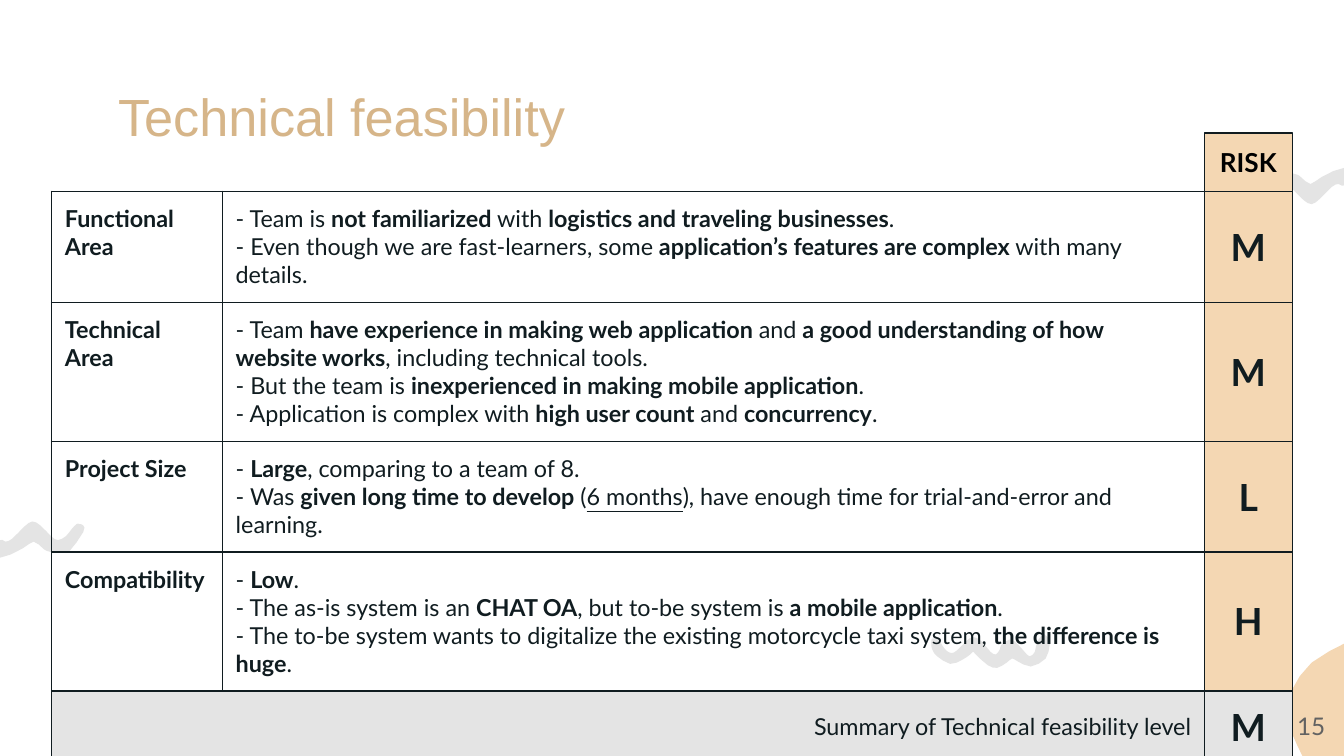
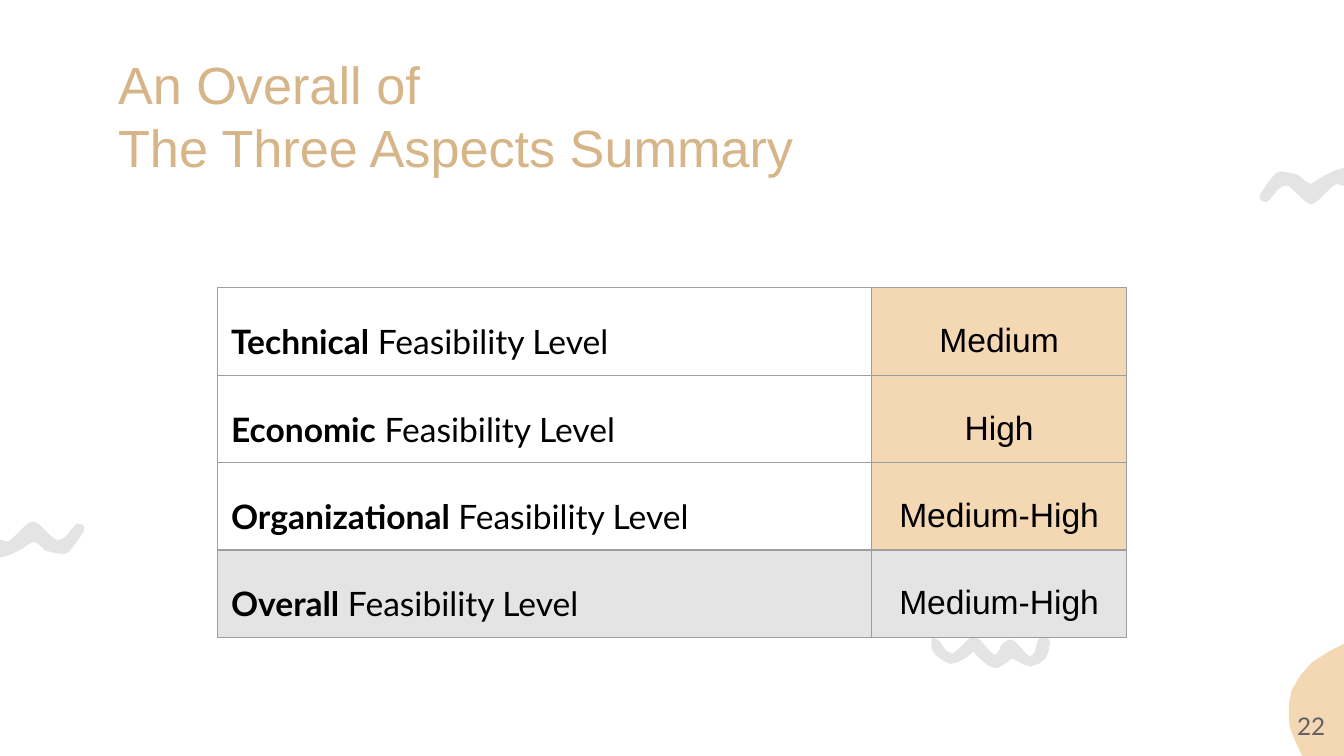
from lxml import etree
from pptx import Presentation
from pptx.dml.color import RGBColor
from pptx.enum.shapes import MSO_SHAPE
from pptx.enum.text import MSO_ANCHOR, MSO_AUTO_SIZE, PP_ALIGN
from pptx.oxml.ns import qn
from pptx.util import Pt

RECT = MSO_SHAPE.RECTANGLE
TOP, MIDDLE = MSO_ANCHOR.TOP, MSO_ANCHOR.MIDDLE
LEFT, CENTER, RIGHT = PP_ALIGN.LEFT, PP_ALIGN.CENTER, PP_ALIGN.RIGHT
FIT_SHAPE = MSO_AUTO_SIZE.SHAPE_TO_FIT_TEXT

WHITE = RGBColor(0xFF, 0xFF, 0xFF)
BLACK = RGBColor(0x00, 0x00, 0x00)
INK = RGBColor(0x10, 0x1C, 0x20)
TAN = RGBColor(0xD6, 0xB5, 0x89)
PEACH = RGBColor(0xF4, 0xD7, 0xB3)
PALE = RGBColor(0xE4, 0xE4, 0xE4)
RULE = RGBColor(0x9E, 0x9E, 0x9E)
PAGE_GRAY = RGBColor(0x62, 0x62, 0x62)

SANS, BODY = "Arial", "Lato"
WIDTH, HEIGHT = 720, 405
INSET = Pt(7.2)
LINE = Pt(0.75)

EDGE_WAVE = [
    (17.3, 279.4), (13, 282.2), (6.5, 288.7), (2.9, 290.2), (0, 289.4),
    (0, 298.8), (12.2, 293.8), (18, 290.2), (23, 293.8), (25.2, 295.2),
    (31.7, 296.6), (36.7, 295.9), (44.6, 285.1), (44.6, 281.5),
    (42.5, 280.8), (41, 280.8), (38.2, 283.7), (35.3, 287.3), (31, 289.4),
    (27.4, 287.3), (21.6, 281.5),
]
RIGHT_WAVE = [(WIDTH - x, 388.8 - y) for x, y in EDGE_WAVE]
BOTTOM_WAVE = [
    (559.4, 339.8), (555.8, 343.4), (554.4, 349.2), (552.2, 351.4),
    (550.1, 350.6), (544.3, 344.2), (540.7, 342.7), (536.4, 345.6),
    (535.7, 347.8), (533.5, 350.6), (530.6, 349.2), (525.6, 343.4),
    (521.3, 341.3), (517.7, 343.4), (512.6, 348.5), (509.8, 349.9),
    (506.9, 348.5), (504.7, 345.6), (503.3, 343.4), (500.4, 342),
    (499, 342.7), (499, 346.3), (499.7, 348.5), (501.8, 351.4),
    (509, 355.7), (515.5, 353.5), (519.8, 350.6), (521.3, 349.2),
    (522.7, 350.6), (529.2, 356.4), (534.2, 357.8), (539.3, 355),
    (542.2, 352.8), (545, 354.2), (552.2, 357.1), (560.2, 352.8),
    (562.3, 345.6), (562.3, 343.4),
]
CORNER_ARC = [(720, 344.9), (702.7, 355), (691.9, 370.1), (690.5, 384.5),
              (691.9, 392.4), (697.7, 405)]

TECHNICAL = [
    ("Functional Area", "M", [
        "- Team is *not familiarized* with *logistics and traveling businesses*.",
        "- Even though we are fast-learners, some *application’s features are "
        "complex* with many details."]),
    ("Technical Area", "M", [
        "- Team *have experience in making web application* and *a good "
        "understanding of how*",
        "*website works*, including technical tools.",
        "- But the team is *inexperienced in making mobile application*.",
        "- Application is complex with *high user count* and *concurrency*."]),
    ("Project Size", "L", [
        "- *Large*, comparing to a team of 8.",
        "- Was *given long time to develop* (_6 months_), have enough time for "
        "trial-and-error and learning."]),
    ("Compatibility", "H", [
        "- *Low*.",
        "- The as-is system is an *CHAT OA*, but to-be system is *a mobile "
        "application*.",
        "- The to-be system wants to digitalize the existing motorcycle taxi "
        "system, *the difference is huge*."]),
]
OVERALL = [("*Technical* ", "Medium"), ("*Economic* ", "High"),
           ("*Organizational *", "Medium-High"), ("*Overall* ", "Medium-High")]


def smooth(points, closed=True):
    """Add the Catmull-Rom midpoint between neighbouring points."""
    n = len(points)

    def at(i):
        return points[i % n] if closed else points[min(max(i, 0), n - 1)]

    curve = []
    for i in range(n if closed else n - 1):
        near = zip(at(i - 1), at(i), at(i + 1), at(i + 2))
        curve += [at(i), tuple((9 * (b + c) - a - d) / 16 for a, b, c, d in near)]
    return curve if closed else curve + [points[-1]]


def add_blob(s, points, color):
    """Draw a closed filled outline."""
    outline = [(Pt(x), Pt(y)) for x, y in points]
    fb = s.shapes.build_freeform(*outline[0], scale=1.0)
    fb.add_line_segments(outline[1:], close=True)
    sp = fb.convert_to_shape()
    sp.shadow.inherit = False
    set_fill(sp, color)
    sp.line.fill.background()


def set_fill(target, color):
    """Fill a shape, cell or background with one colour."""
    target.fill.solid()
    target.fill.fore_color.rgb = color


def add_runs(p, line):
    """Add runs in which *...* is bold and _..._ is underlined."""
    for i, part in enumerate(line.split("*")):
        for j, piece in enumerate(part.split("_")):
            if piece:
                r = p.add_run()
                r.text = piece
                if i % 2:
                    r.font.bold = True
                if j % 2:
                    r.font.underline = True


def write(tf, lines, size, color, font=BODY, align=LEFT, bold=None, spacing=None):
    """Write one paragraph per line; a newline inside one is a line break."""
    tf.word_wrap = True
    for n, line in enumerate(lines):
        p = tf.paragraphs[0] if n == 0 else tf.add_paragraph()
        p.alignment = align
        if spacing:
            p.line_spacing = spacing
        p.font.name, p.font.size, p.font.bold = font, Pt(size), bold
        p.font.color.rgb = color
        for k, row in enumerate(line.split("\n")):
            if k:
                p.add_line_break()
            add_runs(p, row)


def set_margins(box):
    """Give a text frame or a table cell the common inset."""
    box.margin_left = box.margin_right = INSET
    box.margin_top = box.margin_bottom = INSET


def add_text(s, x, y, w, h, lines, size, color, anchor=TOP, **style):
    """Add a text box."""
    tf = s.shapes.add_textbox(Pt(x), Pt(y), Pt(w), Pt(h)).text_frame
    set_margins(tf)
    tf.vertical_anchor = anchor
    write(tf, lines, size, color, **style)


def add_tag(s, x, y, w, h, text):
    """Add the outlined heading above a table column."""
    sp = s.shapes.add_shape(RECT, Pt(x), Pt(y), Pt(w), Pt(h))
    sp.shadow.inherit = False
    set_fill(sp, PEACH)
    sp.line.color.rgb = INK
    sp.line.width = LINE
    tf = sp.text_frame
    set_margins(tf)
    tf.vertical_anchor = TOP
    write(tf, [text], 14, BLACK, align=CENTER, bold=True)
    tf.auto_size = FIT_SHAPE


def set_borders(cell, color):
    """Draw all four sides of a cell."""
    tc_pr = cell._tc.get_or_add_tcPr()
    for side in ("a:lnL", "a:lnR", "a:lnT", "a:lnB"):
        ln = etree.SubElement(tc_pr, qn(side), w=str(LINE))
        fill = etree.SubElement(ln, qn("a:solidFill"))
        etree.SubElement(fill, qn("a:srgbClr"), val=str(color))


def add_grid(s, x, y, cols, rows, border):
    """Add a ruled table: peach last column, pale last row."""
    frame = s.shapes.add_table(len(rows), len(cols), Pt(x), Pt(y),
                               Pt(sum(cols)), Pt(sum(rows)))
    table = frame.table
    table.first_row = table.horz_banding = False
    for column, w in zip(table.columns, cols):
        column.width = Pt(w)
    for i, h in enumerate(rows):
        table.rows[i].height = Pt(h)
        for j in range(len(cols)):
            cell = table.cell(i, j)
            set_margins(cell)
            set_borders(cell, border)
            if i == len(rows) - 1:
                set_fill(cell, PALE)
            elif j == len(cols) - 1:
                set_fill(cell, PEACH)
            else:
                cell.fill.background()
    return table


def write_cell(cell, lines, size, color, anchor=MIDDLE, **style):
    """Write the text of a table cell."""
    cell.vertical_anchor = anchor
    write(cell.text_frame, lines, size, color, **style)


def add_base(prs, title, title_width):
    """Add a slide with its background shapes and title."""
    s = prs.slides.add_slide(prs.slide_layouts[6])
    set_fill(s.background, WHITE)
    for wave in (BOTTOM_WAVE, RIGHT_WAVE):
        add_blob(s, smooth(wave), PALE)
    add_blob(s, smooth(CORNER_ARC, closed=False) + [(WIDTH, HEIGHT)], PEACH)
    add_blob(s, smooth(EDGE_WAVE), PALE)
    add_text(s, 56.2, 42.2, title_width, 39, [title], 28, TAN, anchor=MIDDLE,
             font=SANS)
    return s


def add_page_number(s, number):
    """Add the page number in the bottom right corner."""
    add_text(s, 674, 373.7, 43, 31, [str(number)], 13, PAGE_GRAY, align=RIGHT)


def technical_slide(prs):
    """Build the technical feasibility slide."""
    s = add_base(prs, "Technical feasibility", 607.7)
    table = add_grid(s, 27.6, 102.5, [91.5, 526.2, 47],
                     [45.4, 70.6, 45.4, 43.9, 23.8], INK)
    risk = dict(size=20, color=INK, align=CENTER, bold=True)
    for i, (area, level, notes) in enumerate(TECHNICAL):
        write_cell(table.cell(i, 0), [area], 12.5, INK, anchor=TOP, bold=True)
        write_cell(table.cell(i, 1), notes, 12.5, INK, anchor=TOP)
        write_cell(table.cell(i, 2), [level], **risk)
    set_fill(table.cell(3, 0), WHITE)
    table.cell(4, 0).merge(table.cell(4, 1))
    write_cell(table.cell(4, 0), ["Summary of Technical feasibility level"],
               12.5, INK, align=RIGHT)
    write_cell(table.cell(4, 2), ["M"], **risk)
    add_tag(s, 645.3, 71.2, 47, 31.5, "RISK")
    add_page_number(s, 15)


def overall_slide(prs):
    """Build the summary slide of the three aspects."""
    s = add_base(prs, "An Overall of \nThe Three Aspects Summary", 630.7)
    table = add_grid(s, 116.6, 154.2, [350.5, 136.4], [41.8, 41.8, 44.6, 41.8], RULE)
    for i, (aspect, level) in enumerate(OVERALL):
        write_cell(table.cell(i, 0), [f"{aspect}Feasibility Level"], 18, BLACK,
                   spacing=1.5)
        write_cell(table.cell(i, 1), [level], 18, BLACK, font=SANS, align=CENTER,
                   spacing=1.5)
    add_page_number(s, 22)


def main():
    """Build and save the presentation."""
    prs = Presentation()
    prs.slide_width, prs.slide_height = Pt(WIDTH), Pt(HEIGHT)
    technical_slide(prs)
    overall_slide(prs)
    prs.save("out.pptx")


if __name__ == "__main__":
    main()
